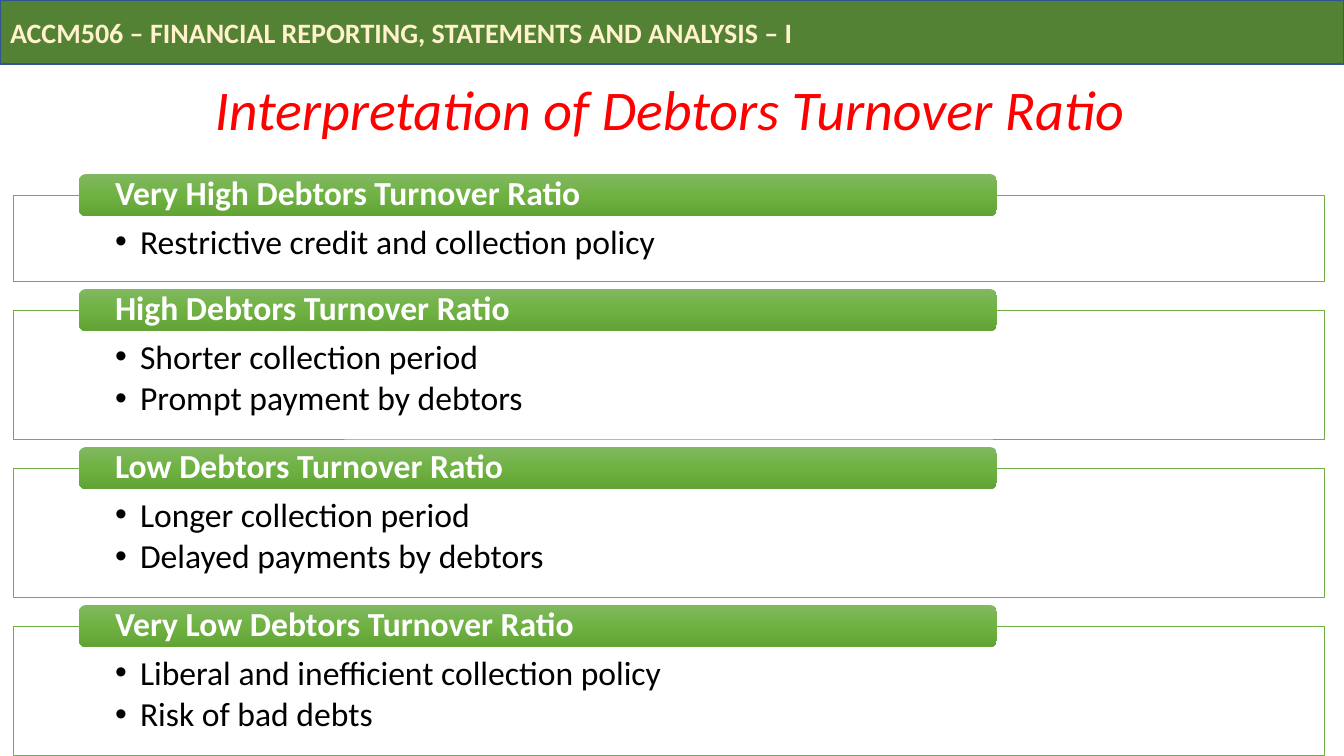
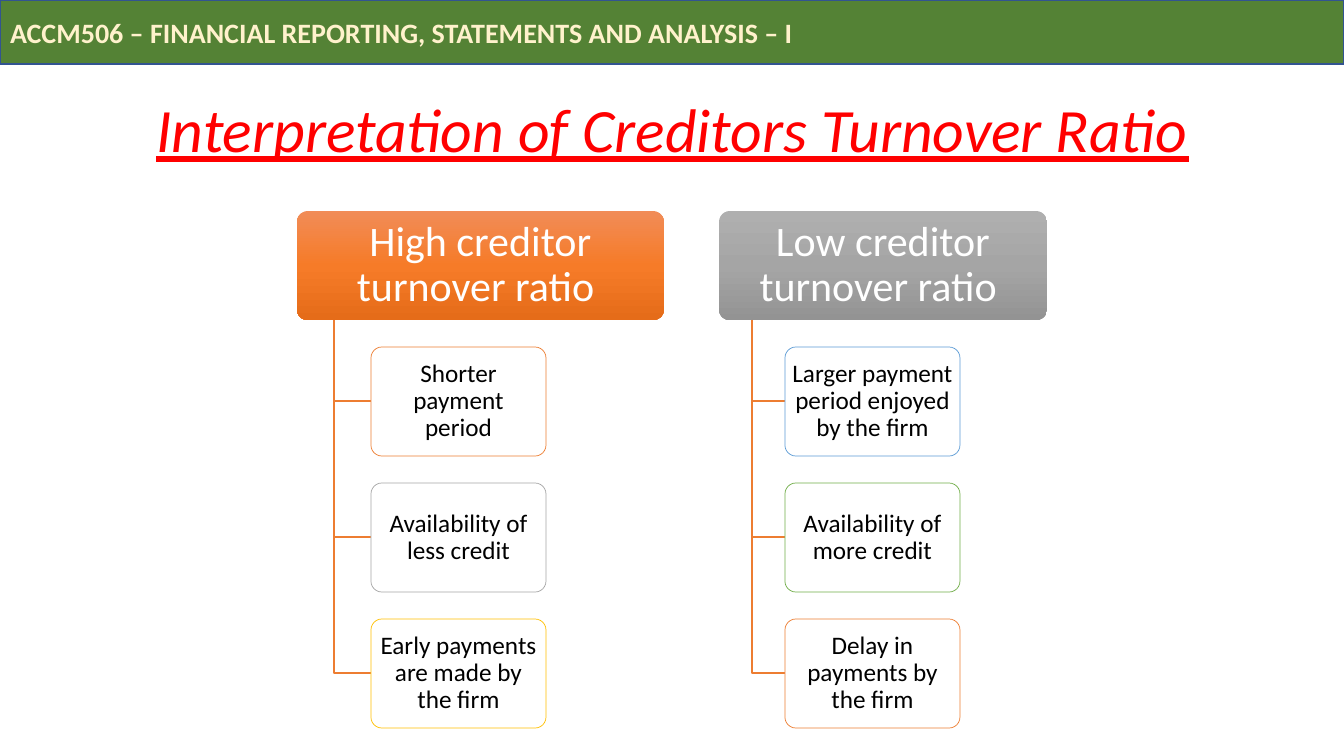
from copy import deepcopy

from lxml import etree
from pptx import Presentation
from pptx.dml.color import RGBColor
from pptx.enum.shapes import MSO_SHAPE
from pptx.enum.text import MSO_ANCHOR, PP_ALIGN
from pptx.oxml.ns import qn
from pptx.util import Pt

RECTANGLE = MSO_SHAPE.RECTANGLE
ROUNDED = MSO_SHAPE.ROUNDED_RECTANGLE
TOP, MIDDLE = MSO_ANCHOR.TOP, MSO_ANCHOR.MIDDLE
LEFT, CENTER = PP_ALIGN.LEFT, PP_ALIGN.CENTER

WIDTH, HEIGHT = 1344, 756
EMU_PER_PX = 12192000 / WIDTH
FONT = "Calibri"
COURSE = "ACCM506 – FINANCIAL REPORTING, STATEMENTS AND ANALYSIS – I"
COLORS = {
    "band": "548235", "band_line": "325491", "cream": "FFF2CC",
    "red": "FF0000", "white": "FFFFFF", "black": "000000",
    "green": "70AD47", "orange": "ED7D31", "gray": "A5A5A5",
    "gold": "FFC000", "blue": "5B9BD5",
    "green_light": "81B861", "green_mid": "6FB242", "green_dark": "62A336",
    "orange_light": "F18C57", "orange_mid": "F67B28", "orange_dark": "E56C19",
    "gray_light": "AFAFAF", "gray_mid": "A5A5A5", "gray_dark": "939393",
}


def px(length):
    return round(length * EMU_PER_PX)


def rgb(name):
    return RGBColor.from_string(COLORS[name])


def add_bullet(paragraph, indent):
    properties = paragraph._p.get_or_add_pPr()
    properties.set("marL", str(px(indent)))
    properties.set("indent", str(-px(indent)))
    etree.SubElement(properties, qn("a:buFont"), typeface="Arial")
    etree.SubElement(properties, qn("a:buChar"), char="•")


def write_text(shape, *lines, size, color="black", bold=False, italic=False,
               underline=False, align=LEFT, anchor=MIDDLE, insets=(10, 5, 10, 5),
               line_spacing=0.9, space_after=0, bullet_indent=0):
    frame = shape.text_frame
    frame.word_wrap = True
    frame.vertical_anchor = anchor
    (frame.margin_left, frame.margin_top,
     frame.margin_right, frame.margin_bottom) = map(px, insets)
    for index, line in enumerate(lines):
        paragraph = frame.add_paragraph() if index else frame.paragraphs[0]
        paragraph.alignment = align
        paragraph.line_spacing = line_spacing
        paragraph.space_after = Pt(space_after)
        if bullet_indent:
            add_bullet(paragraph, bullet_indent)
        run = paragraph.add_run()
        run.text = line
        font = run.font
        font.name, font.size, font.color.rgb = FONT, Pt(size), rgb(color)
        font.bold, font.italic, font.underline = bold, italic, underline


class Deck:
    def __init__(self):
        self.presentation = Presentation()
        self.presentation.slide_width = px(WIDTH)
        self.presentation.slide_height = px(HEIGHT)
        self.slide = None

    def new_slide(self, title, box, **title_format):
        """Start a slide with the course band and a red italic title."""
        layout = self.presentation.slide_layouts[6]
        self.slide = self.presentation.slides.add_slide(layout)
        band = self.box(RECTANGLE, 0, 0, WIDTH, 64, "band", line="band_line", weight=1)
        write_text(band, COURSE, size=20, color="cream", bold=True, line_spacing=1)
        title_box = self.slide.shapes.add_textbox(*map(px, box))
        write_text(title_box, title, color="red", italic=True, align=CENTER, **title_format)

    def box(self, kind, left, top, width, height, fill="white", line=None,
            weight=0.5, alpha=None, corner=None):
        shape = self.slide.shapes.add_shape(kind, *map(px, (left, top, width, height)))
        shape.shadow.inherit = False
        shape.fill.solid()
        shape.fill.fore_color.rgb = rgb(fill)
        if alpha:
            color = shape._element.spPr.find(qn("a:solidFill"))[0]
            etree.SubElement(color, qn("a:alpha"), val=str(alpha * 1000))
        if corner:
            shape.adjustments[0] = corner
        if line:
            shape.line.color.rgb = rgb(line)
            shape.line.width = Pt(weight)
        else:
            shape.line.fill.background()
        return shape

    def gradient_box(self, left, top, width, height, hue, corner=None):
        """Rounded box shaded from light at the top to dark at the bottom."""
        shape = self.box(ROUNDED, left, top, width, height, corner=corner)
        shape.fill.gradient()
        shape.fill.gradient_angle = 270
        stop_list = shape._element.spPr.find(".//" + qn("a:gsLst"))
        stop_list.append(deepcopy(stop_list[0]))
        for index, stop in enumerate(shape.fill.gradient_stops):
            stop.position = index / 2
            stop.color.rgb = rgb(f"{hue}_{('light', 'mid', 'dark')[index]}")
        return shape

    def elbow(self, left, top, right, bottom):
        """Line down, then right."""
        builder = self.slide.shapes.build_freeform(px(left), px(top))
        builder.add_line_segments(
            [(px(left), px(bottom)), (px(right), px(bottom))], close=False)
        shape = builder.convert_to_shape()
        shape.shadow.inherit = False
        shape.fill.background()
        shape.line.color.rgb = rgb("orange")
        shape.line.width = Pt(1)

    def section(self, top, height, heading, points):
        """Framed bullet list with a label across its top edge."""
        frame = self.box(RECTANGLE, 13, top, 1311, height, line="green", alpha=90)
        write_text(frame, *points, size=24, anchor=TOP, insets=(102, 30, 102, 19),
                   space_after=3.6, bullet_indent=25)
        label = self.gradient_box(79, top - 21, 918, 42, "green")
        write_text(label, heading, size=24, color="white", bold=True,
                   insets=(34, 0, 34, 0))

    def tree(self, left, width, hue, heading, children):
        """Heading box with child boxes hanging from a spine."""
        top, height, step = 211, 109, 136
        indent = round(width / 10)
        spine, child_left = left + indent, left + 2 * indent
        root = self.gradient_box(left, top, width, height, hue, corner=0.1)
        write_text(root, heading, size=30, color="white", align=CENTER,
                   insets=(6, 4, 6, 4))
        for row, (text, line) in enumerate(children, start=1):
            child_top = top + row * step
            self.elbow(spine, top + height, child_left, child_top + height // 2)
            child = self.box(ROUNDED, child_left, child_top, 175, height,
                             line=line, alpha=90, corner=0.1)
            write_text(child, text, size=18, align=CENTER, insets=(3, 3, 3, 3))


def main():
    deck = Deck()

    # Debtors turnover: stacked sections, frame height follows the bullets
    deck.new_slide("Interpretation of Debtors Turnover Ratio", (90, 85, 1159, 55), size=40)
    sections = [
        ("Very High Debtors Turnover Ratio", ["Restrictive credit and collection policy"]),
        ("High Debtors Turnover Ratio",
         ["Shorter collection period", "Prompt payment by debtors"]),
        ("Low Debtors Turnover Ratio",
         ["Longer collection period", "Delayed payments by debtors"]),
        ("Very Low Debtors Turnover Ratio",
         ["Liberal and inefficient collection policy", "Risk of bad debts"]),
    ]
    top = 195
    for heading, points in sections:
        height = 43 + 43 * len(points)
        deck.section(top, height, heading, points)
        top += height + 29

    # Creditors turnover: two trees
    deck.new_slide("Interpretation of Creditors Turnover Ratio", (93, 80, 1159, 106),
                   size=44, underline=True)
    deck.tree(297, 367, "orange", "High creditor turnover ratio ", [
        ("Shorter payment period", "orange"),
        ("Availability of less credit", "gray"),
        ("Early payments are made by the firm", "gold"),
    ])
    deck.tree(719, 328, "gray", "Low creditor turnover ratio ", [
        ("Larger payment period enjoyed by the firm", "blue"),
        ("Availability of more credit", "green"),
        ("Delay in payments by the firm", "orange"),
    ])

    deck.presentation.save("out.pptx")


if __name__ == "__main__":
    main()
